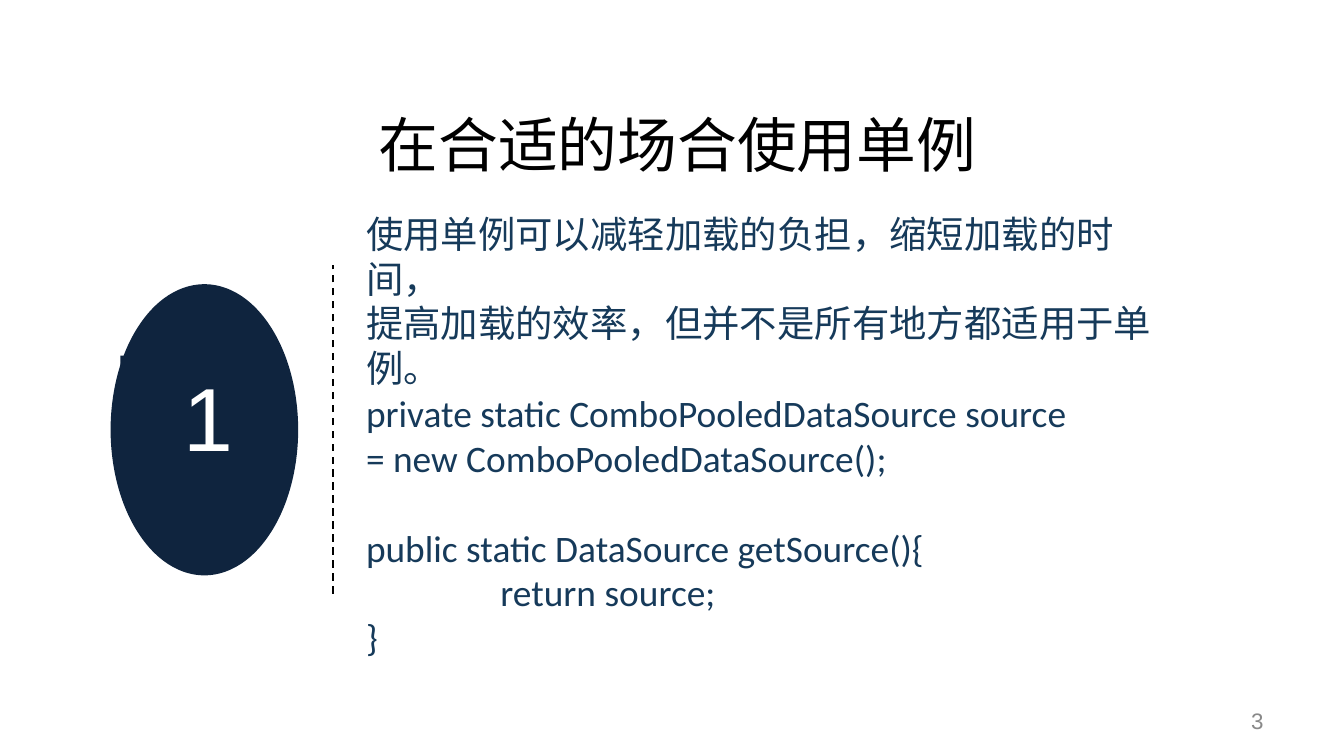
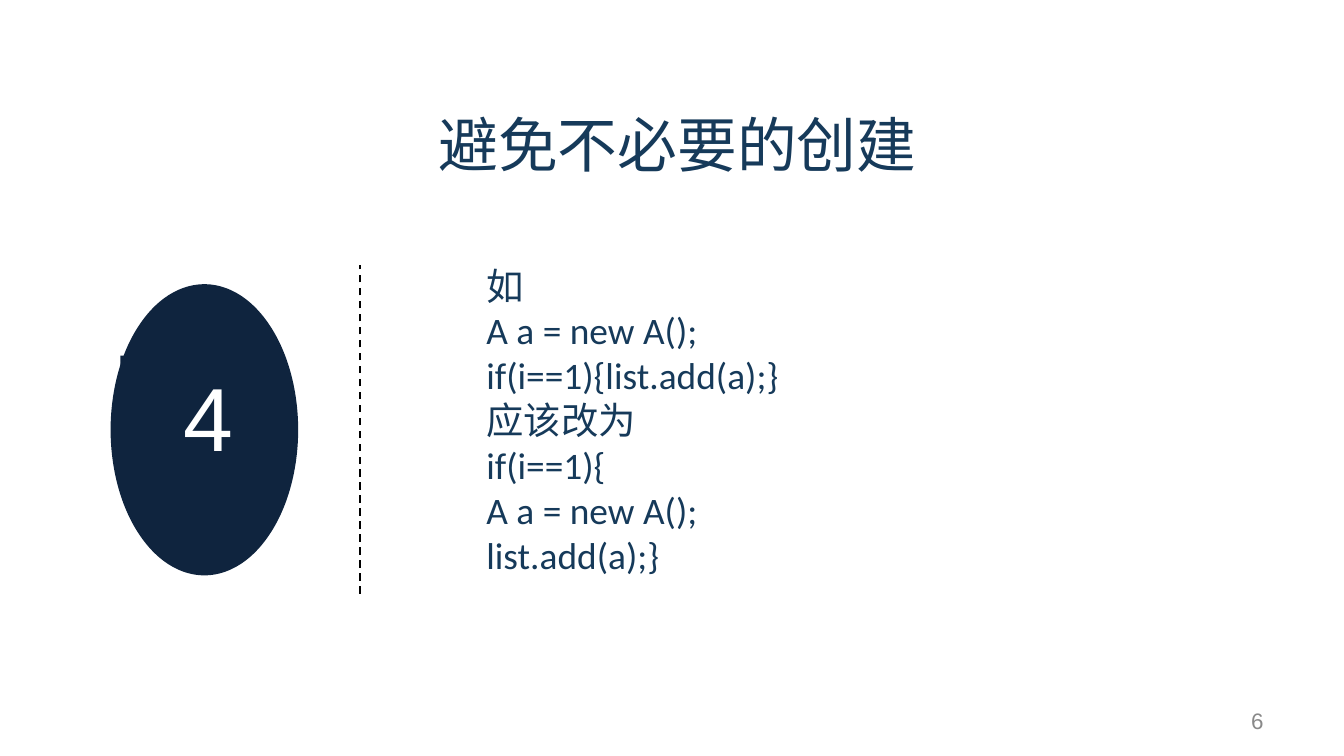
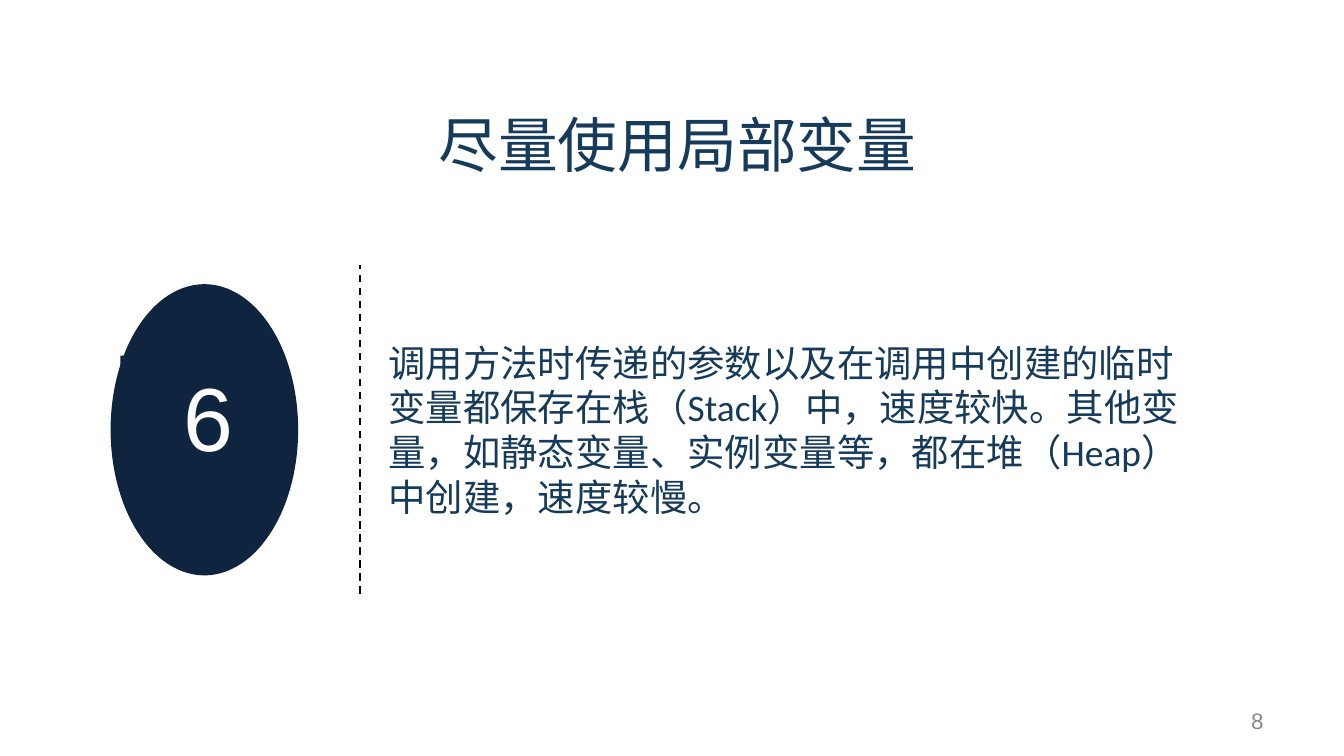
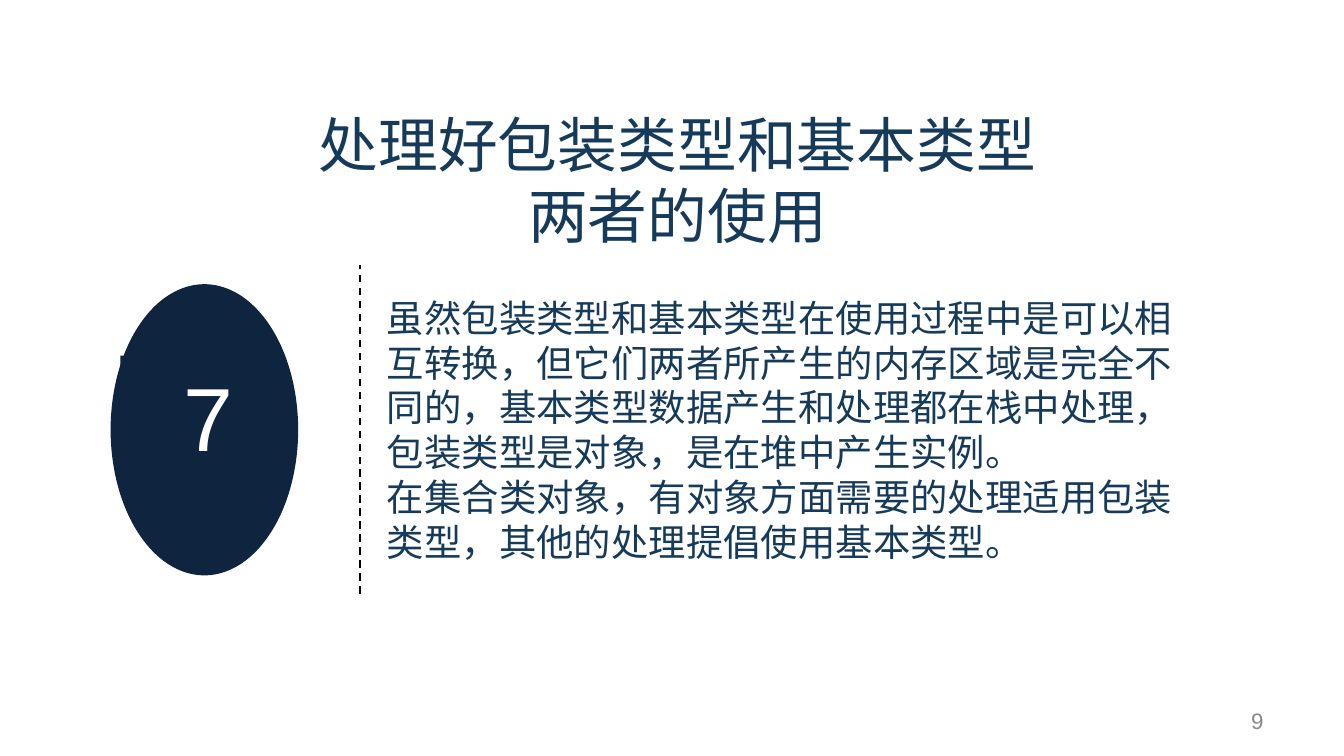
from dataclasses import dataclass

from lxml import etree
from pptx import Presentation
from pptx.dml.color import RGBColor
from pptx.enum.dml import MSO_LINE_DASH_STYLE as DASH
from pptx.enum.shapes import MSO_CONNECTOR as CONNECTOR, MSO_SHAPE as SHAPE
from pptx.enum.text import MSO_ANCHOR as ANCHOR, MSO_AUTO_SIZE as AUTO, PP_ALIGN as ALIGN
from pptx.oxml.ns import qn
from pptx.util import Pt

PX = 9525  # 96 px to the inch
SLIDE_W, SLIDE_H = 960, 540
TITLE_ONLY = 5
COLORS = {
    "text": "163A5A",
    "badge": "0F243E",
    "badge_text": "FFFFFF",
    "black": "000000",
    "page": "898989",
}
TITLE_X, TITLE_Y, TITLE_W = 206, 72, 556
BADGE_BOX = (79, 203, 134, 208)
PAGE_BOX = (688, 500, 224, 29)
DIVIDER_TOP, DIVIDER_BOTTOM = 189, 424
TAB_STEP, TAB_COUNT = 96, 8
SECTION_GAP = 24


@dataclass
class Tip:
    number: int
    page: int
    title: str
    body_box: tuple
    sections: list
    divider_x: int = 257
    title_h: int = 61
    title_font: str = "Arial"
    title_color: str = "text"


TIPS = [
    Tip(1, 3, "在合适的场合使用单例", (252, 146, 593, 330), [
        ["使用单例可以减轻加载的负担，缩短加载的时间，",
         "提高加载的效率，但并不是所有地方都适用于单",
         "例。",
         "private static ComboPooledDataSource source \t= new ComboPooledDataSource();"],
        ["public static DataSource getSource(){",
         "\treturn source;",
         "}"],
    ], divider_x=238, title_font="Calibri", title_color="black"),
    Tip(4, 6, "避免不必要的创建", (338, 183, 523, 234), [
        ["如",
         "A a = new A();",
         "if(i==1){list.add(a);}",
         "应该改为",
         "if(i==1){",
         "A a = new A();",
         "list.add(a);}"],
    ]),
    Tip(6, 8, "尽量使用局部变量", (268, 238, 593, 138), [
        ["调用方法时传递的参数以及在调用中创建的临时变量都保存在栈（Stack）中，"
         "速度较快。其他变量，如静态变量、实例变量等，都在堆（Heap）中创建，速度较慢。"],
    ]),
    Tip(7, 9, "处理好包装类型和基本类型两者的使用", (267, 206, 593, 202), [
        ["虽然包装类型和基本类型在使用过程中是可以相互转换，但它们两者所产生的内存区域是完全不同的，"
         "基本类型数据产生和处理都在栈中处理，包装类型是对象，是在堆中产生实例。",
         "在集合类对象，有对象方面需要的处理适用包装类型，其他的处理提倡使用基本类型。"],
    ], title_h=112),
]


def emu(*lengths):
    return [n * PX for n in lengths]


def rgb(name):
    return RGBColor.from_string(COLORS[name])


def set_frame(tf, anchor=ANCHOR.TOP, auto_size=AUTO.SHAPE_TO_FIT_TEXT):
    tf.word_wrap = True
    tf.auto_size = auto_size
    tf.vertical_anchor = anchor


def write(p, text, font, size, color, align=ALIGN.LEFT):
    p.text = text
    p.alignment = align
    for r in p.runs:
        r.font.name = font
        r.font.size = Pt(size)
        r.font.color.rgb = rgb(color)


def set_line_rules(p):
    """Set even tab stops and keep punctuation inside the text width."""
    props = p._p.get_or_add_pPr()
    props.set("hangingPunct", "0")
    tabs = etree.SubElement(props, qn("a:tabLst"))
    for i in range(TAB_COUNT):
        etree.SubElement(tabs, qn("a:tab"), pos=str(i * TAB_STEP * PX), algn="l")


def set_title(s, tip):
    title = s.shapes.title
    title.left, title.top, title.width, title.height = emu(TITLE_X, TITLE_Y, TITLE_W, tip.title_h)
    set_frame(title.text_frame)
    write(title.text_frame.paragraphs[0], tip.title, tip.title_font, 32, tip.title_color, ALIGN.CENTER)


def add_body(s, box, sections):
    """Write the sections one below the other, with a gap of one line between them."""
    tf = s.shapes.add_textbox(*emu(*box)).text_frame
    set_frame(tf)
    p = tf.paragraphs[0]
    for i, section in enumerate(sections):
        for j, line in enumerate(section):
            if i or j:
                p = tf.add_paragraph()
            if i and not j:
                p.space_before = Pt(SECTION_GAP)
            set_line_rules(p)
            write(p, line, "Calibri", 20, "text")


def add_divider(s, x):
    line = s.shapes.add_connector(CONNECTOR.STRAIGHT, *emu(x, DIVIDER_BOTTOM, x, DIVIDER_TOP))
    line.line.color.rgb = rgb("black")
    line.line.width = Pt(1)
    line.line.dash_style = DASH.DASH
    etree.SubElement(line._element.spPr, qn("a:effectLst"))


def add_badge(s, box, number):
    x, y, w, h = box
    group = s.shapes.add_group_shape()
    parts = [(SHAPE.OVAL, box), (SHAPE.RECTANGLE, (x + 7, y + 51, 110, 86))]
    for kind, part_box in parts:
        sp = group.shapes.add_shape(kind, *emu(*part_box))
        sp.shadow.inherit = False
        sp.fill.solid()
        sp.fill.fore_color.rgb = rgb("badge")
        sp.line.fill.background()
    tf = sp.text_frame
    set_frame(tf)
    tf.margin_left = 45 * PX
    write(tf.paragraphs[0], str(number), "Arial", 48, "badge_text")


def add_page_number(s, box, page):
    tf = s.shapes.add_textbox(*emu(*box)).text_frame
    set_frame(tf, ANCHOR.MIDDLE, AUTO.NONE)
    write(tf.paragraphs[0], str(page), "Arial", 12, "page", ALIGN.RIGHT)


def add_tip_slide(prs, tip):
    s = prs.slides.add_slide(prs.slide_layouts[TITLE_ONLY])
    set_title(s, tip)
    add_body(s, tip.body_box, tip.sections)
    add_divider(s, tip.divider_x)
    add_badge(s, BADGE_BOX, tip.number)
    add_page_number(s, PAGE_BOX, tip.page)


def main():
    prs = Presentation()
    prs.slide_width, prs.slide_height = emu(SLIDE_W, SLIDE_H)
    for tip in TIPS:
        add_tip_slide(prs, tip)
    prs.save("out.pptx")


if __name__ == "__main__":
    main()
